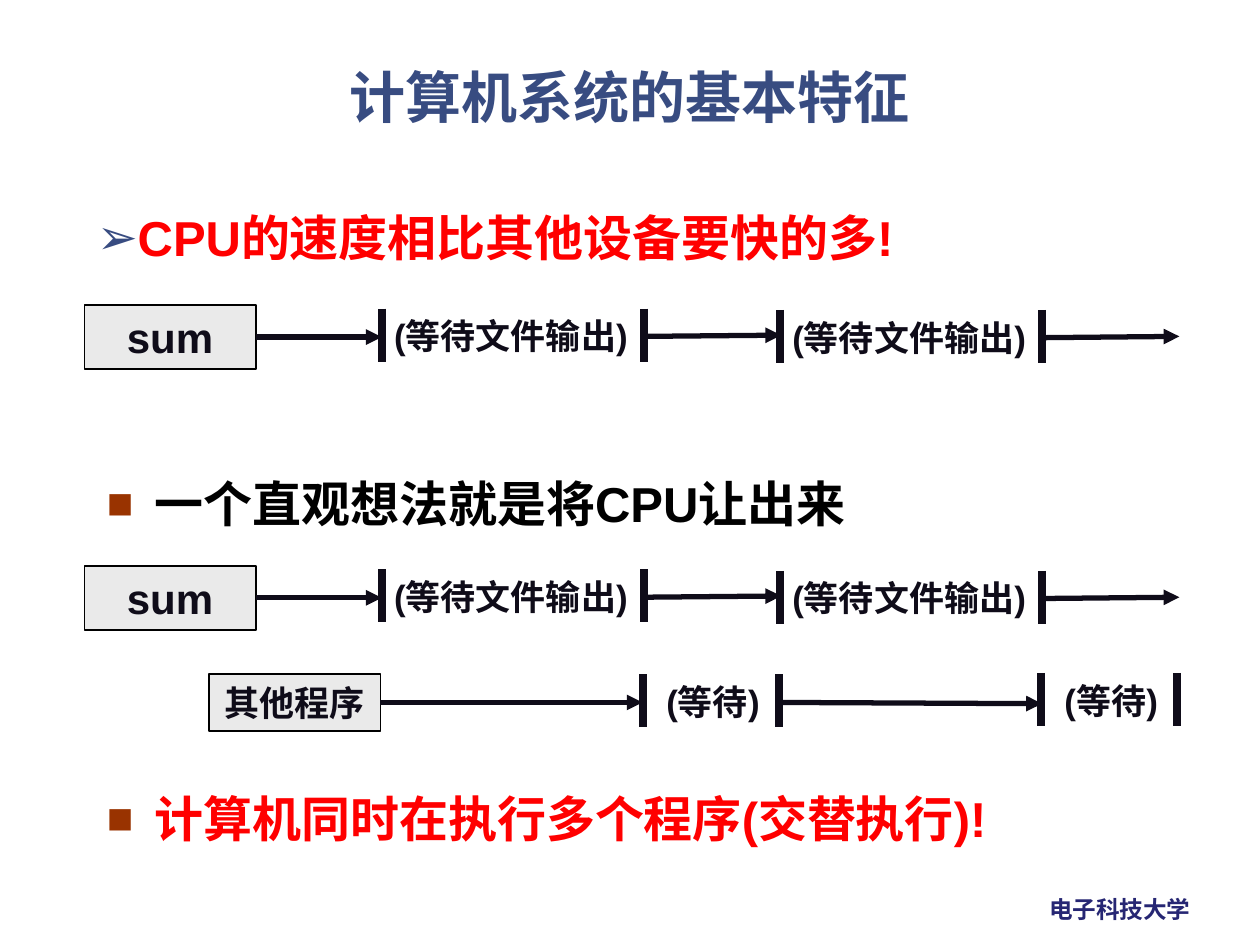
from dataclasses import dataclass

from pptx import Presentation
from pptx.dml.color import RGBColor
from pptx.enum.shapes import MSO_CONNECTOR as Connector, MSO_SHAPE as Shape
from pptx.enum.text import MSO_ANCHOR as Anchor, PP_ALIGN as Align
from pptx.oxml.ns import qn
from pptx.util import Inches, Pt
from lxml.etree import SubElement


@dataclass(frozen=True)
class Theme:
    latin: str = "Arial"
    chinese: str = "Noto Sans CJK SC"
    heading: str = "384C81"
    school: str = "262673"
    ink: str = "0F0C19"
    black: str = "000000"
    alert: str = "FF0000"
    square: str = "993300"
    box_fill: str = "EAEAEA"
    title_size: float = 32
    point_size: float = 28
    program_size: float = 24
    label_size: float = 20
    footer_size: float = 13.5
    arrow_width: float = 3
    tick_width: float = 4.5


class TimelineSlide:
    """Draws program timelines and bullet points on one slide in one theme."""

    def __init__(self, slide, theme):
        self.slide = slide
        self.shapes = slide.shapes
        self.theme = theme

    def set_text(self, frame, text, size, color, font=None):
        frame.text = text
        paragraph = frame.paragraphs[0]
        for run in paragraph.runs:
            run.font.name = font or self.theme.latin
            run.font.size = Pt(size)
            run.font.bold = True
            run.font.color.rgb = RGBColor.from_string(color)
            SubElement(run.font._element, qn("a:ea"), typeface=self.theme.chinese)
        return paragraph

    def title(self, text):
        heading = self.shapes.title
        heading.left, heading.top = Inches(0.68), Inches(0.5)
        heading.width, heading.height = Inches(8.64), Inches(0.6)
        heading.text_frame.vertical_anchor = Anchor.MIDDLE
        paragraph = self.set_text(heading.text_frame, text, self.theme.title_size,
                                  self.theme.heading, self.theme.chinese)
        paragraph.alignment = Align.CENTER
        paragraph.line_spacing = 0.9

    def label(self, text, left, top, width, height=0.43):
        frame = self.shapes.add_textbox(Inches(left), Inches(top),
                                        Inches(width), Inches(height)).text_frame
        frame.word_wrap = True
        self.set_text(frame, text, self.theme.label_size, self.theme.ink)

    def footer(self, text):
        frame = self.shapes.add_textbox(Inches(8.23), Inches(7.05),
                                        Inches(1.34), Inches(0.33)).text_frame
        frame.word_wrap = False
        self.set_text(frame, text, self.theme.footer_size, self.theme.school,
                      self.theme.chinese)

    def point(self, text, left, top, height, color, bullet, bullet_color,
              indent, bullet_scale=100):
        frame = self.shapes.add_textbox(Inches(left), Inches(top),
                                        Inches(8.66), Inches(height)).text_frame
        frame.word_wrap = True
        frame.margin_top = Inches(0.12)
        paragraph = self.set_text(frame, text, self.theme.point_size, color)
        paragraph.line_spacing = 1.3
        properties = paragraph._p.get_or_add_pPr()
        properties.set("marL", str(Inches(indent)))
        properties.set("indent", str(-Inches(indent)))
        tint = SubElement(properties, qn("a:buClr"))
        SubElement(tint, qn("a:srgbClr"), val=bullet_color)
        SubElement(properties, qn("a:buSzPct"), val=str(bullet_scale * 1000))
        SubElement(properties, qn("a:buFont"), typeface=self.theme.latin)
        SubElement(properties, qn("a:buChar"), char=bullet)

    def program(self, name, left, top, height, size):
        box = self.shapes.add_shape(Shape.RECTANGLE, Inches(left), Inches(top),
                                    Inches(1.36), Inches(height))
        box.shadow.inherit = False
        box.fill.solid()
        box.fill.fore_color.rgb = RGBColor.from_string(self.theme.box_fill)
        box.line.color.rgb = RGBColor.from_string(self.theme.black)
        box.line.width = Pt(1)
        box.text_frame.vertical_anchor = Anchor.MIDDLE
        paragraph = self.set_text(box.text_frame, name, size, self.theme.ink)
        paragraph.alignment = Align.CENTER
        return box

    def line(self, start, end, width):
        stroke = self.shapes.add_connector(Connector.STRAIGHT,
                                           *map(Inches, start + end))
        stroke.line.color.rgb = RGBColor.from_string(self.theme.ink)
        stroke.line.width = Pt(width)
        SubElement(stroke._element.spPr, qn("a:effectLst"))
        return stroke

    def arrow(self, start, end, source=None):
        shaft = self.line(start, end, self.theme.arrow_width)
        SubElement(shaft.line._get_or_add_ln(), qn("a:tailEnd"), type="triangle")
        if source is not None:
            shaft.begin_connect(source, 3)

    def wait(self, text, left, top, span, label_gap, label_width):
        for x in (left, left + span):
            self.line((x, top), (x, top + 0.42), self.theme.tick_width)
        self.label(text, left + label_gap, top, label_width)

    def sum_timeline(self, top):
        box = self.program("sum", 0.67, top, 0.51, self.theme.program_size)
        middle = top + 0.255
        self.arrow((2.03, middle), (3.03, middle), box)
        for left, wait_top in ((3.03, top + 0.03), (6.19, top + 0.04)):
            self.wait("(等待文件输出)", left, wait_top, 2.08, 0, 2.06)
            resume = left + 2.08
            self.arrow((resume, wait_top + 0.22), (resume + 1.09, wait_top + 0.21))

    def other_timeline(self, top):
        box = self.program("其他程序", 1.66, top, 0.45, self.theme.label_size)
        middle = top + 0.225
        self.arrow((3.02, middle), (5.1, middle), box)
        self.arrow((6.18, middle), (8.27, middle + 0.01))
        for left, wait_top in ((5.1, top), (8.26, top - 0.01)):
            self.wait("(等待)", left, wait_top, 1.08, 0.09, 0.94)


def main():
    presentation = Presentation()
    presentation.slide_width, presentation.slide_height = Inches(10), Inches(7.5)
    theme = Theme()
    page = TimelineSlide(
        presentation.slides.add_slide(presentation.slide_layouts[5]), theme)

    page.title("计算机系统的基本特征")
    page.point("CPU的速度相比其他设备要快的多!", 0.67, 1.39, 0.95,
               theme.alert, "➢", theme.heading, 0.19)
    page.sum_timeline(2.42)
    for text, top, height, color in (
        ("一个直观想法就是将CPU让出来", 3.5, 0.95, theme.black),
        ("计算机同时在执行多个程序(交替执行)!", 6, 0.75, theme.alert),
    ):
        page.point(text, 0.75, top, height, color, "■", theme.square, 0.38, 90)
    page.sum_timeline(4.49)
    page.other_timeline(5.35)
    page.footer("电子科技大学")
    presentation.save("out.pptx")


if __name__ == "__main__":
    main()
